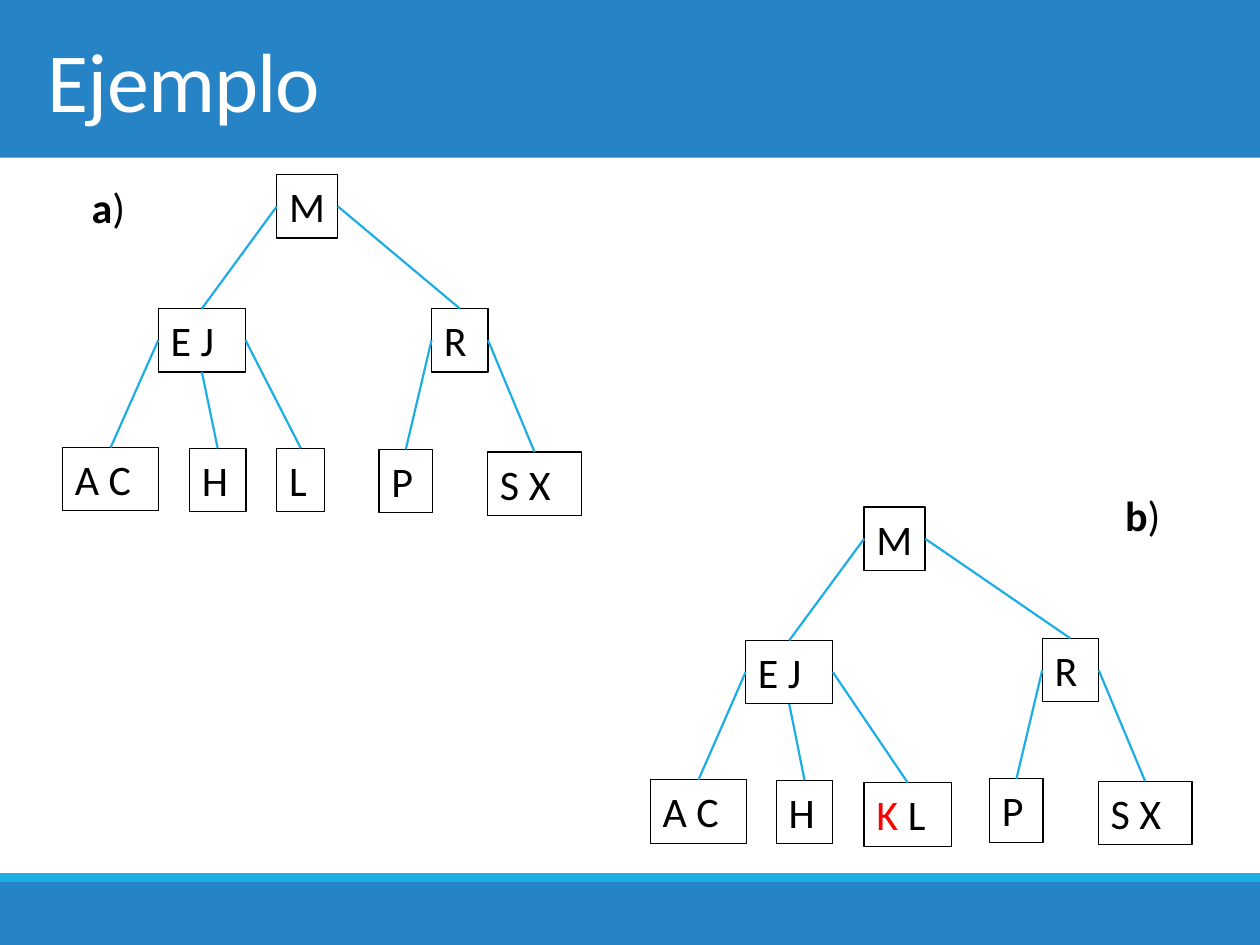
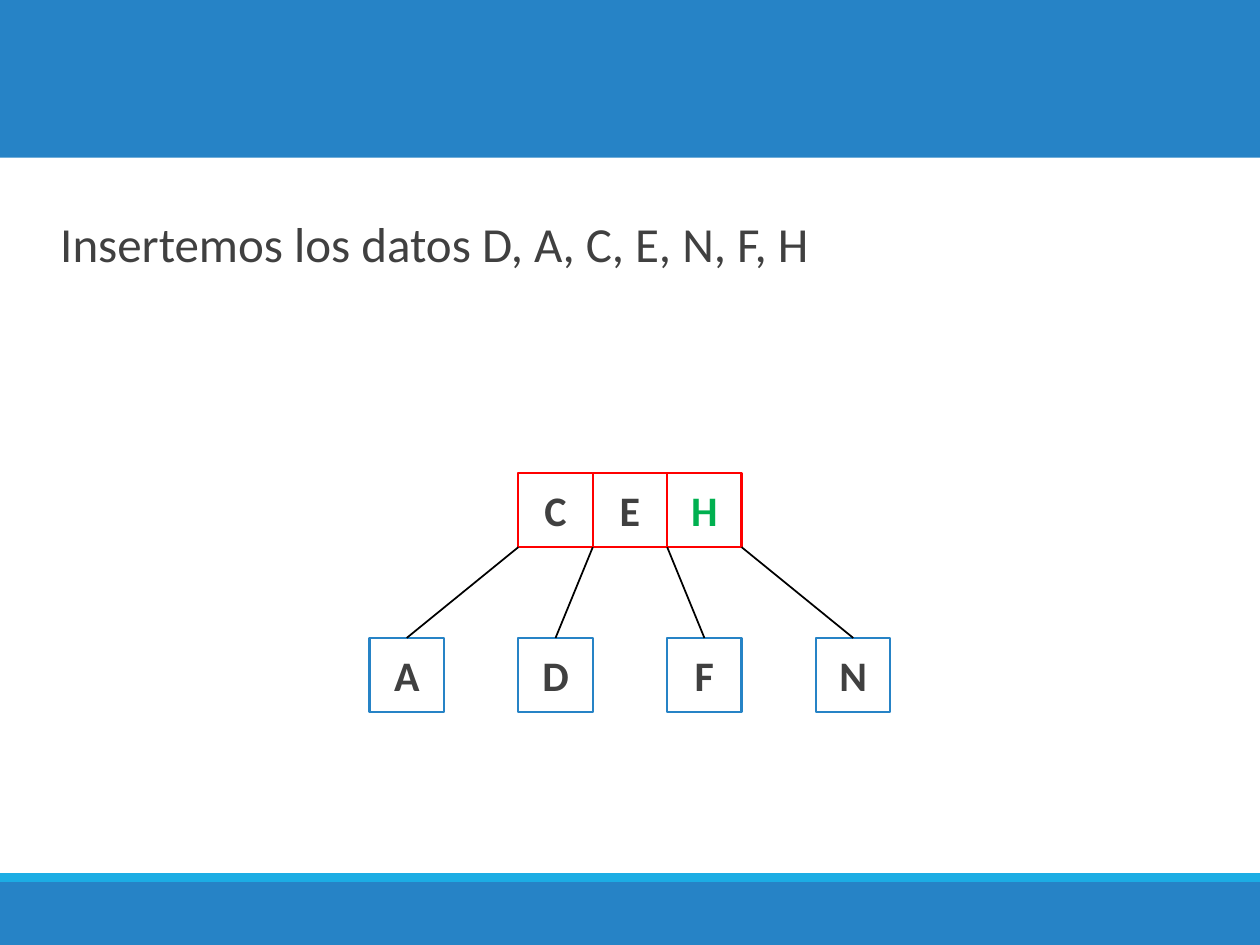
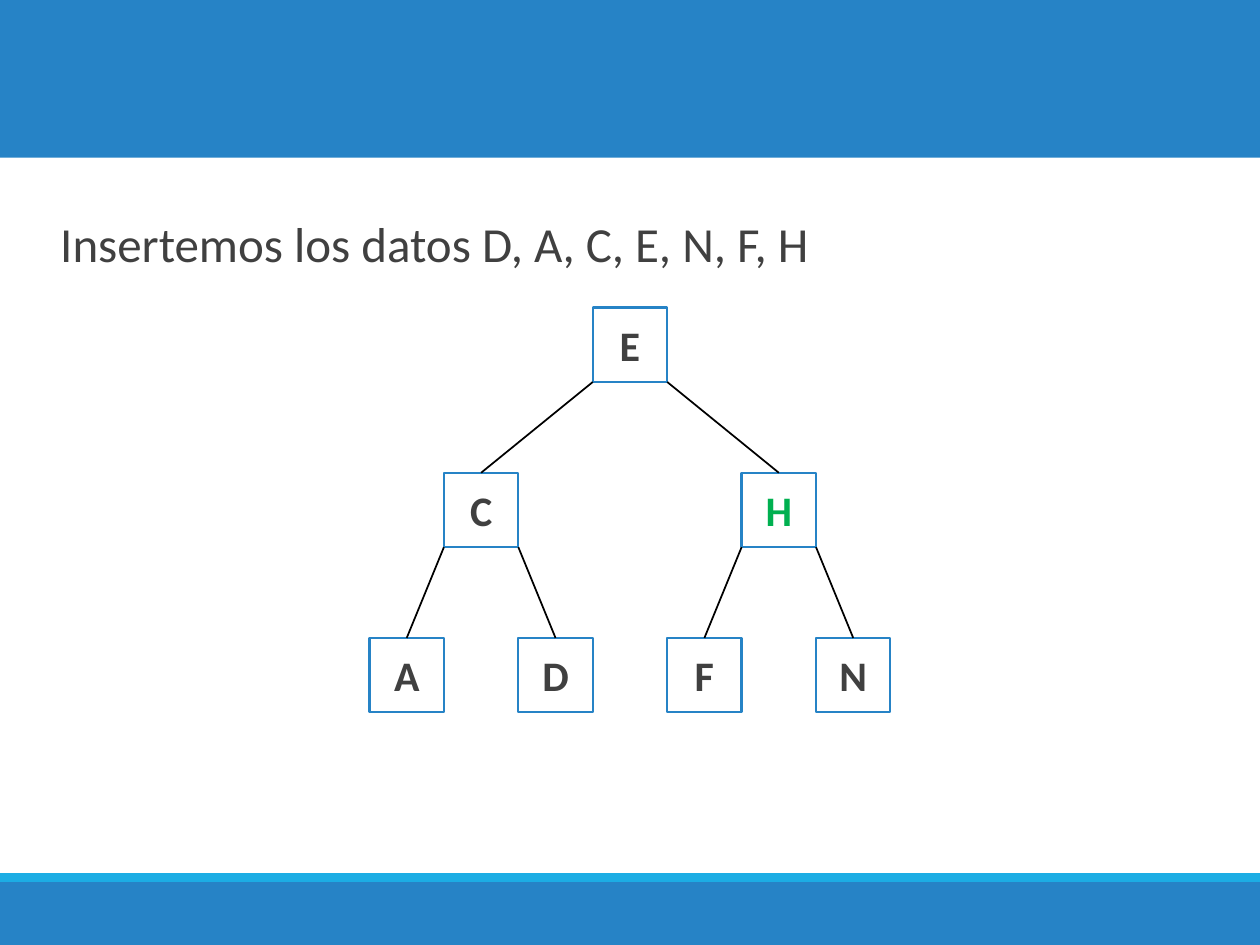
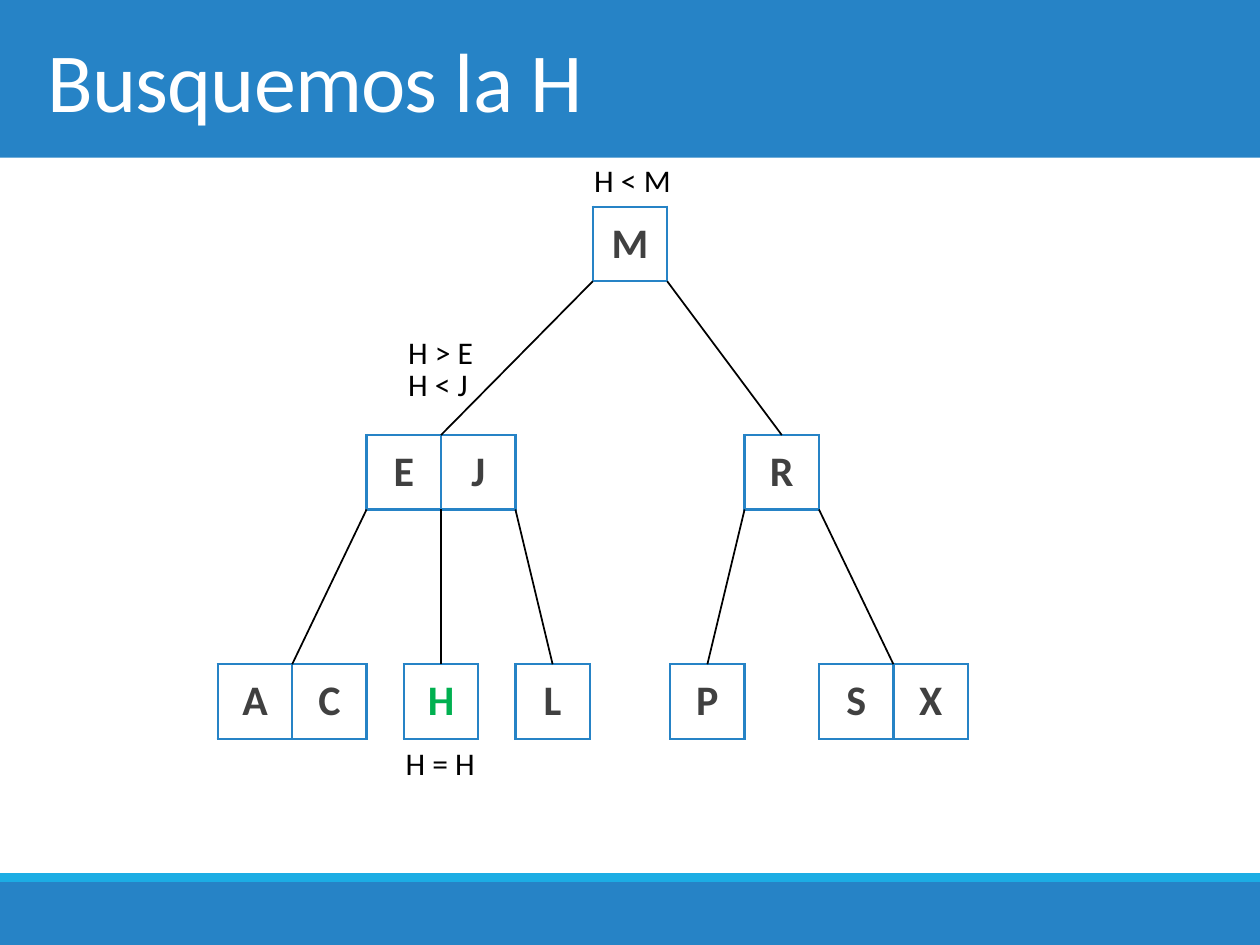
from lxml import etree
from pptx import Presentation
from pptx.dml.color import RGBColor
from pptx.enum.shapes import MSO_CONNECTOR, MSO_SHAPE
from pptx.enum.text import MSO_ANCHOR, MSO_AUTO_SIZE, PP_ALIGN
from pptx.oxml.ns import qn
from pptx.util import Cm, Pt

FONT = "Calibri"
BLUE = RGBColor(0x26, 0x83, 0xC6)
SKY = RGBColor(0x1C, 0xAD, 0xE4)
WHITE = RGBColor(0xFF, 0xFF, 0xFF)
BLACK = RGBColor(0x00, 0x00, 0x00)
GREY = RGBColor(0x40, 0x40, 0x40)
RED = RGBColor(0xFF, 0x00, 0x00)
GREEN = RGBColor(0x00, 0xB0, 0x50)

WIDTH, HEIGHT = 25.4, 19.05
BANDS = [(0, 3.18, BLUE), (17.78, 1.27, BLUE), (17.6, 0.18, SKY)]
MARGIN, TEXT_WIDTH = 0.71, 24
CELL = 1.5
BOX_HEIGHT = 1.28
LEFT_SITE, BOTTOM_SITE, RIGHT_SITE = 1, 2, 3
TOP_SITE = 0

BOX_CHILDREN = {"M": ["E J", "R"], "E J": ["A C", "H", "L"], "R": ["P", "S X"]}
BOX_TREES = [
    {
        "M": (5.58, 3.52, 1.23), "E J": (3.19, 6.22, 1.76), "R": (8.7, 6.22, 1.14),
        "A C": (1.26, 9.02, 1.94), "H": (3.82, 9.04, 1.14), "L": (5.58, 9.04, 0.97),
        "P": (7.64, 9.06, 1.08), "S X": (9.83, 9.11, 1.89),
    },
    {
        "M": (17.42, 10.22, 1.23), "E J": (15.03, 12.91, 1.76), "R": (21.01, 12.87, 1.14),
        "A C": (13.11, 15.72, 1.94), "H": (15.65, 15.73, 1.14), "L": (17.42, 15.78, 1.76),
        "P": (19.95, 15.7, 1.08), "S X": (22.14, 15.75, 1.89),
    },
]
INSERTED_RUNS = {"L": [("K", RED, False), (" L", BLACK, False)]}
TREE_LABELS = [("a", 1.6, 3.53), ("b", 22.43, 9.75)]

INSERT_TEXT = "Insertemos los datos D, A, C, E, N, F, H"
GRID_LEFT, GRID_TOP, ROW_STEP = 7.45, 6.2, 3.33
LEAVES = {"A": (0, 2), "D": (2, 2), "F": (4, 2), "N": (6, 2)}
OVERFLOW_NODES = {"CEH": (2, 1), **LEAVES}
OVERFLOW_CHILDREN = {"CEH": "ADFN"}
SPLIT_NODES = {"E": (3, 0), "C": (1, 1), "H": (5, 1), **LEAVES}
SPLIT_CHILDREN = {"E": "CH", "C": "AD", "H": "FN"}

SEARCH_LEVELS = [
    (4.17, {"M": 11.95}),
    (8.77, {"EJ": 7.39, "R": 15.01}),
    (13.39, {"AC": 4.39, "H": 8.14, "L": 10.39, "P": 13.51, "SX": 16.51}),
]
SEARCH_CHILDREN = {"M": ["EJ", "R"], "EJ": ["AC", "H", "L"], "R": ["P", "SX"]}
COMPARISONS = [
    ("H < M", 11.73, 3.13), ("H > E", 7.98, 6.59),
    ("H < J", 7.98, 7.24), ("H = H", 7.93, 14.88),
]


def write_runs(paragraph, runs, size):
    for text, color, bold in runs:
        run = paragraph.add_run()
        run.text = text
        run.font.name = FONT
        run.font.size = Pt(size)
        run.font.bold = bold
        run.font.color.rgb = color


def add_rectangle(slide, left, top, width, height, fill=None, line=None, weight=1.25):
    shape = slide.shapes.add_shape(
        MSO_SHAPE.RECTANGLE, Cm(left), Cm(top), Cm(width), Cm(height))
    shape.shadow.inherit = False
    if fill is None:
        shape.fill.background()
    else:
        shape.fill.solid()
        shape.fill.fore_color.rgb = fill
    if line is None:
        shape.line.fill.background()
    else:
        shape.line.color.rgb = line
        shape.line.width = Pt(weight)
    return shape


def add_line(slide, start, end, color, weight):
    connector = slide.shapes.add_connector(
        MSO_CONNECTOR.STRAIGHT, *[Cm(value) for value in (*start, *end)])
    connector.line.color.rgb = color
    connector.line.width = Pt(weight)
    etree.SubElement(connector.element.spPr, qn("a:effectLst"))
    return connector


def write_left(shape, runs, size):
    frame = shape.text_frame
    frame.word_wrap = True
    frame.margin_right = 0
    frame.vertical_anchor = MSO_ANCHOR.TOP
    frame.paragraphs[0].alignment = PP_ALIGN.LEFT
    write_runs(frame.paragraphs[0], runs, size)


def add_label(slide, runs, left, top, width, height, size):
    label = slide.shapes.add_textbox(Cm(left), Cm(top), Cm(width), Cm(height))
    write_left(label, runs, size)


def place_text(placeholder, top, height, anchor):
    placeholder.left, placeholder.top = Cm(MARGIN), Cm(top)
    placeholder.width, placeholder.height = Cm(TEXT_WIDTH), Cm(height)
    frame = placeholder.text_frame
    frame.auto_size = MSO_AUTO_SIZE.NONE
    frame.vertical_anchor = anchor
    paragraph = frame.paragraphs[0]
    paragraph.alignment = PP_ALIGN.LEFT
    return paragraph


def add_titled_slide(text):
    slide = presentation.slides.add_slide(presentation.slide_layouts[5])
    paragraph = place_text(slide.shapes.title, 0, BANDS[0][1], MSO_ANCHOR.MIDDLE)
    write_runs(paragraph, [(text, WHITE, False)], 48)
    paragraph.runs[0].font._element.set("spc", "-50")
    return slide


def add_body_slide(text):
    slide = presentation.slides.add_slide(presentation.slide_layouts[1])
    title = slide.shapes.title.element
    title.getparent().remove(title)
    paragraph = place_text(slide.placeholders[1], 3.58, 2.21, MSO_ANCHOR.TOP)
    paragraph.line_spacing = 1.5
    paragraph.space_before, paragraph.space_after = Pt(12), Pt(2)
    write_runs(paragraph, [(text, GREY, False)], 28)
    properties = paragraph._p.get_or_add_pPr()
    properties.set("marL", str(Cm(0.25)))
    properties.set("indent", "0")
    etree.SubElement(properties, qn("a:buNone"))
    return slide


def move_bands_to_master(slide):
    tree = presentation.slide_master.shapes.element
    for index, (top, height, color) in enumerate(BANDS):
        band = add_rectangle(slide, 0, top, WIDTH, height, color)
        tree.insert(2 + index, band.element)


def draw_box_tree(slide, places, special_runs):
    boxes = {}
    for keys, (left, top, width) in places.items():
        boxes[keys] = add_rectangle(
            slide, left, top, width, BOX_HEIGHT, line=BLACK, weight=0.75)
        write_left(boxes[keys], special_runs.get(keys, [(keys, BLACK, False)]), 24)
    for parent, children in BOX_CHILDREN.items():
        sites = [LEFT_SITE, BOTTOM_SITE, RIGHT_SITE]
        if len(children) == 2:
            sites.remove(BOTTOM_SITE)
        for site, child in zip(sites, children):
            connector = add_line(slide, (0, 0), (1, 1), SKY, 1.25)
            connector.begin_connect(boxes[parent], site)
            connector.end_connect(boxes[child], TOP_SITE)


def write_key(frame, key):
    paragraph = frame.paragraphs[0]
    paragraph.alignment = PP_ALIGN.CENTER
    write_runs(paragraph, [(key, GREEN if key == "H" else GREY, True)], 24)


def draw_squares(slide, keys, left, top):
    outline = RED if len(keys) > 2 else BLUE
    for index, key in enumerate(keys):
        square = add_rectangle(slide, left + index * CELL, top, CELL, CELL, WHITE, outline)
        square.text_frame.vertical_anchor = MSO_ANCHOR.MIDDLE
        write_key(square.text_frame, key)


def set_borders(cell, color, weight):
    properties = cell._tc.get_or_add_tcPr()
    for index, side in enumerate(("lnL", "lnR", "lnT", "lnB")):
        border = etree.Element(qn("a:" + side), w=str(Pt(weight)))
        fill = etree.SubElement(border, qn("a:solidFill"))
        etree.SubElement(fill, qn("a:srgbClr"), val=str(color))
        properties.insert(index, border)


def draw_table(slide, keys, left, top):
    table = slide.shapes.add_table(
        1, len(keys), Cm(left), Cm(top), Cm(len(keys) * CELL), Cm(CELL)).table
    table.first_row = table.horz_banding = False
    for cell, key in zip(table.iter_cells(), keys):
        cell.fill.solid()
        cell.fill.fore_color.rgb = WHITE
        cell.vertical_anchor = MSO_ANCHOR.MIDDLE
        write_key(cell.text_frame, key)
        set_borders(cell, BLUE, 1.5)


def draw_key_tree(slide, places, family, draw_node):
    for keys, (left, top) in places.items():
        draw_node(slide, keys, left, top)
    for parent, children in family.items():
        left, top = places[parent]
        for index, child in enumerate(children):
            child_left, child_top = places[child]
            add_line(slide, (left + index * CELL, top + CELL),
                     (child_left + len(child) * CELL / 2, child_top), BLACK, 1)


presentation = Presentation()
presentation.slide_width, presentation.slide_height = Cm(WIDTH), Cm(HEIGHT)

example = add_titled_slide("Ejemplo")
move_bands_to_master(example)
for places, special_runs in zip(BOX_TREES, ({}, INSERTED_RUNS)):
    draw_box_tree(example, places, special_runs)
for letter, left, top in TREE_LABELS:
    add_label(example, [(letter, BLACK, True), (")", BLACK, False)],
              left, top, 1.3, BOX_HEIGHT, 24)

for nodes, family in ((OVERFLOW_NODES, OVERFLOW_CHILDREN), (SPLIT_NODES, SPLIT_CHILDREN)):
    insertion = add_body_slide(INSERT_TEXT)
    places = {keys: (GRID_LEFT + column * CELL, GRID_TOP + row * ROW_STEP)
              for keys, (column, row) in nodes.items()}
    draw_key_tree(insertion, places, family, draw_squares)

search = add_titled_slide("Busquemos la H")
places = {keys: (left, top) for top, level in SEARCH_LEVELS for keys, left in level.items()}
draw_key_tree(search, places, SEARCH_CHILDREN, draw_table)
for text, left, top in COMPARISONS:
    add_label(search, [(text, BLACK, False)], left, top, 2, 1.03, 18)

presentation.save("out.pptx")
